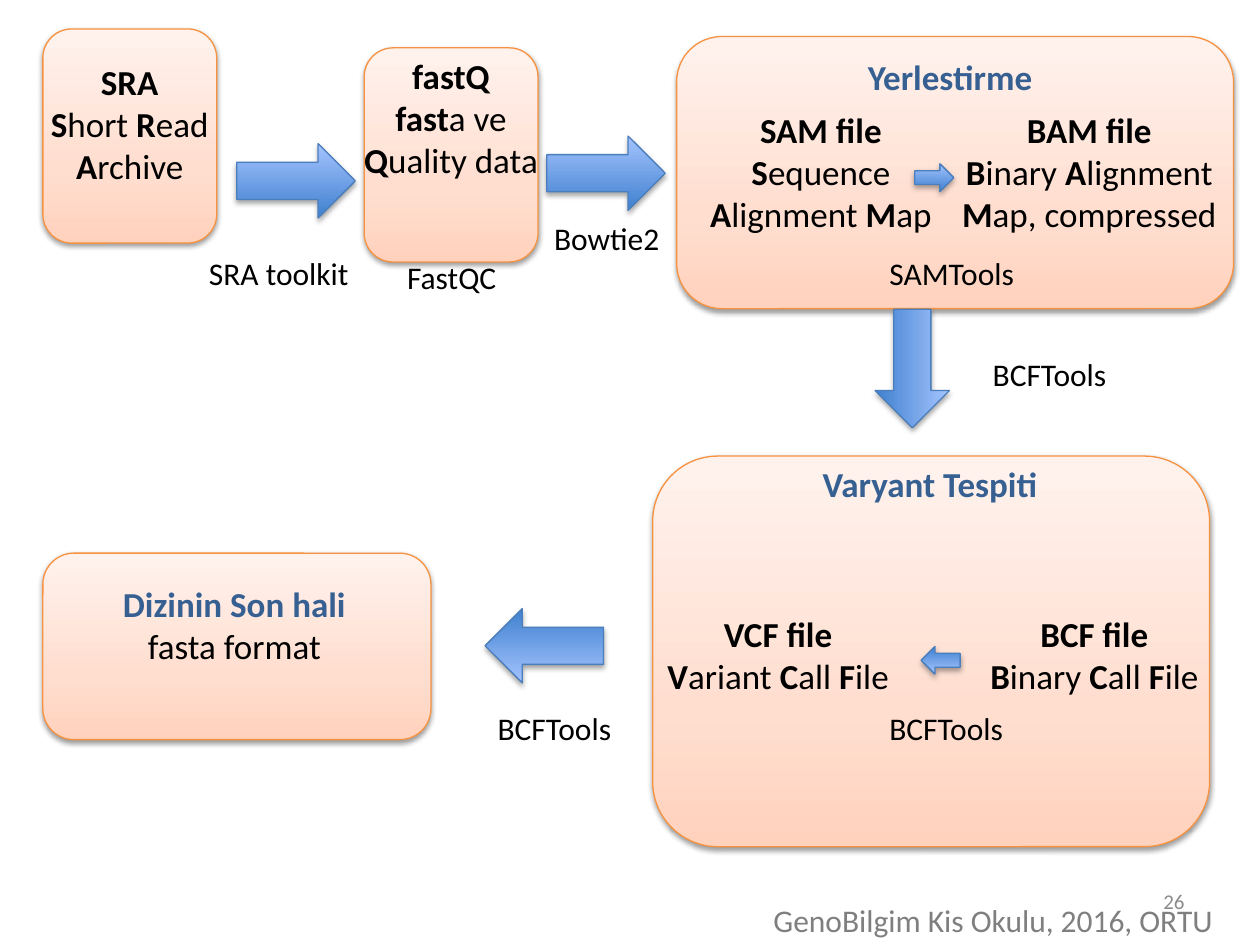
import pptx
import pptx.dml.color
import pptx.enum.shapes
import pptx.enum.text
import pptx.oxml
import pptx.oxml.ns
import pptx.util
from pptx.util import Inches

COLORS = {
    "text": "000000", "heading": "376092", "footer": "7F7F7F", "number": "8C8C8C",
    "card_line": "F69240", "arrow_line": "4B7EBC", "shadow": "000000",
}
GRADIENTS = {
    "card": [(0, "FFD2BD"), (35, "FFDED0"), (100, "FFF2ED")],
    "arrow": [(0, "3F80CE"), (100, "A4C4FF")],
}
SHADOWS = {"card": (38, 1.6), "arrow": (35, 1.8)}  # opacity in percent, distance in points
SHAPES = {
    "card": pptx.enum.shapes.MSO_SHAPE.ROUNDED_RECTANGLE,
    "arrow": pptx.enum.shapes.MSO_SHAPE.RIGHT_ARROW,
}
CENTER = pptx.enum.text.PP_ALIGN.CENTER
LEFT = pptx.enum.text.PP_ALIGN.LEFT
RIGHT = pptx.enum.text.PP_ALIGN.RIGHT
LARGE_ARROW = (0.94, 0.59)
SMALL_ARROW = (0.31, 0.22)


def color(name):
    return pptx.dml.color.RGBColor.from_string(COLORS[name])


def style_element(xml):
    return pptx.oxml.parse_xml(xml.replace(">", " " + pptx.oxml.ns.nsdecls("a") + ">", 1))


def add_styled_shape(page, kind, left, top, width, height):
    """Add a card or arrow with its gradient, outline and soft shadow."""
    shape = page.shapes.add_shape(
        SHAPES[kind], Inches(left), Inches(top), Inches(width), Inches(height))
    shape.line.color.rgb = color(kind + "_line")
    shape.line.width = pptx.util.Pt(0.75)
    shape.shadow.inherit = False
    shape.fill.background()
    properties = shape.element.spPr
    stops = "".join(
        f'<a:gs pos="{position * 1000}"><a:srgbClr val="{value}"/></a:gs>'
        for position, value in GRADIENTS[kind])
    gradient = style_element(
        f'<a:gradFill rotWithShape="1"><a:gsLst>{stops}</a:gsLst>'
        '<a:lin ang="16200000" scaled="0"/></a:gradFill>')
    empty_fill = properties.find(pptx.oxml.ns.qn("a:noFill"))
    properties.replace(empty_fill, gradient)
    opacity, distance = SHADOWS[kind]
    effects = properties.find(pptx.oxml.ns.qn("a:effectLst"))
    effects.append(style_element(
        f'<a:outerShdw blurRad="{pptx.util.Pt(3.1)}" dist="{pptx.util.Pt(distance)}" '
        f'dir="5400000" rotWithShape="0"><a:srgbClr val="{COLORS["shadow"]}">'
        f'<a:alpha val="{opacity * 1000}"/></a:srgbClr></a:outerShdw>'))
    return shape


def add_arrow(page, left, top, size=LARGE_ARROW, rotation=0):
    add_styled_shape(page, "arrow", left, top, *size).rotation = rotation


def add_text(page, box, lines, size=18, align=LEFT, name="text"):
    """Add one paragraph per line; asterisks enclose the bold parts."""
    text_box = page.shapes.add_textbox(*(Inches(length) for length in box))
    frame = text_box.text_frame
    frame.word_wrap = True
    for index, line in enumerate(lines):
        para = frame.paragraphs[0] if index == 0 else frame.add_paragraph()
        para.alignment = align
        for part, words in enumerate(line.split("*")):
            if words:
                span = para.add_run()
                span.text = words
                span.font.name = "Calibri"
                span.font.size = pptx.util.Pt(size)
                span.font.bold = part % 2 == 1
                span.font.color.rgb = color(name)
    return text_box


def add_heading(page, left, top, words):
    return add_text(page, (left, top, 3.02, 0.44), [f"*{words}*"], 20, CENTER, "heading")


def add_file(page, box, name, meaning):
    add_text(page, box, [f"*{name}*", meaning], 20, CENTER)


def add_tool(page, left, top, name, align=LEFT):
    add_text(page, (left, top, 1.55, 0.4), [name], align=align)


def add_read_card(page, left, top, text_top, name, meaning):
    width, text_width = 1.38, 1.76
    add_styled_shape(page, "card", left, top, width, 1.7)
    text_left = left + (width - text_width) / 2
    add_file(page, (text_left, text_top, text_width, 1.11), name, meaning)


def add_raw_reads(page, left, top):
    add_read_card(page, left, top, top + 0.2, "SRA", "*S*hort *R*ead *A*rchive")
    add_read_card(page, left + 2.55, top + 0.15, top + 0.15, "fastQ", "*fast*a ve *Q*uality data")
    add_arrow(page, left + 1.54, top + 0.91)
    add_arrow(page, left + 4, top + 0.85)
    add_tool(page, left + 1.22, top + 1.74, "SRA toolkit")
    add_tool(page, left + 2.47, top + 1.77, "FastQC", CENTER)
    add_tool(page, left + 3.7, top + 1.46, "Bowtie2", CENTER)


def add_alignment(page, left, top, width, height):
    add_styled_shape(page, "card", left, top, width, height)
    add_heading(page, left + 0.66, top + 0.1, "Yerlestirme")
    file_width, file_top = 2.29, top + 0.52
    add_file(page, (left, file_top, file_width, 1.11),
             "SAM file", "*S*equence *A*lignment *M*ap")
    add_file(page, (left + width - file_width, file_top, file_width, 1.11),
             "BAM file", "*B*inary *A*lignment *M*ap, compressed")
    add_arrow(page, left + 1.89, top + 1.01, SMALL_ARROW)
    add_tool(page, left + 1.59, top + 1.68, "SAMTools")
    add_arrow(page, left + 1.4, top + 2.34, rotation=90)
    add_tool(page, left + 2.41, top + 2.48, "BCFTools")


def add_variant_calling(page, left, top, width, height):
    add_styled_shape(page, "card", left, top, width, height)
    add_heading(page, left + 0.69, top, "Varyant Tespiti")
    file_top = top + 1.19
    add_file(page, (left - 0.15, file_top, 2.29, 0.77), "VCF file", "*V*ariant *C*all *F*ile")
    add_file(page, (left + 2.36, file_top, 2.29, 0.77), "BCF file", "*B*inary *C*all *F*ile")
    add_arrow(page, left + 2.13, top + 1.51, SMALL_ARROW, 180)
    add_arrow(page, left - 1.33, top + 1.21, rotation=180)
    for tool_left in (left + 1.78, left - 1.33):
        add_tool(page, tool_left, top + 1.96, "BCFTools")


def add_final_sequence(page, left, top, width, height):
    add_styled_shape(page, "card", left, top, width, height)
    label = add_heading(page, left + 0.01, top + 0.18, "Dizinin Son hali")
    para = label.text_frame.add_paragraph()
    para.text = "fasta format"
    para.alignment = CENTER
    font = para.runs[0].font
    font.name, font.size = "Calibri", pptx.util.Pt(20)
    font.color.rgb = color("text")


def add_footer(page, left, top):
    number = add_text(page, (left + 1.13, top, 2.33, 0.4), ["26"], 12, RIGHT, "number")
    number.text_frame.vertical_anchor = pptx.enum.text.MSO_ANCHOR.MIDDLE
    add_text(page, (left, top + 0.15, 3.96, 0.4),
             ["GenoBilgim Kis Okulu, 2016, ORTU"], name="footer")


def main():
    deck = pptx.Presentation()
    deck.slide_width, deck.slide_height = Inches(10), Inches(7.5)
    page = deck.slides.add_slide(deck.slide_layouts[6])
    add_raw_reads(page, 0.34, 0.23)
    add_alignment(page, 5.37, 0.29, 4.42, 2.16)
    add_variant_calling(page, 5.18, 3.62, 4.42, 3.1)
    add_final_sequence(page, 0.34, 4.39, 3.08, 1.48)
    add_footer(page, 6.04, 6.95)
    deck.save("out.pptx")


if __name__ == "__main__":
    main()
